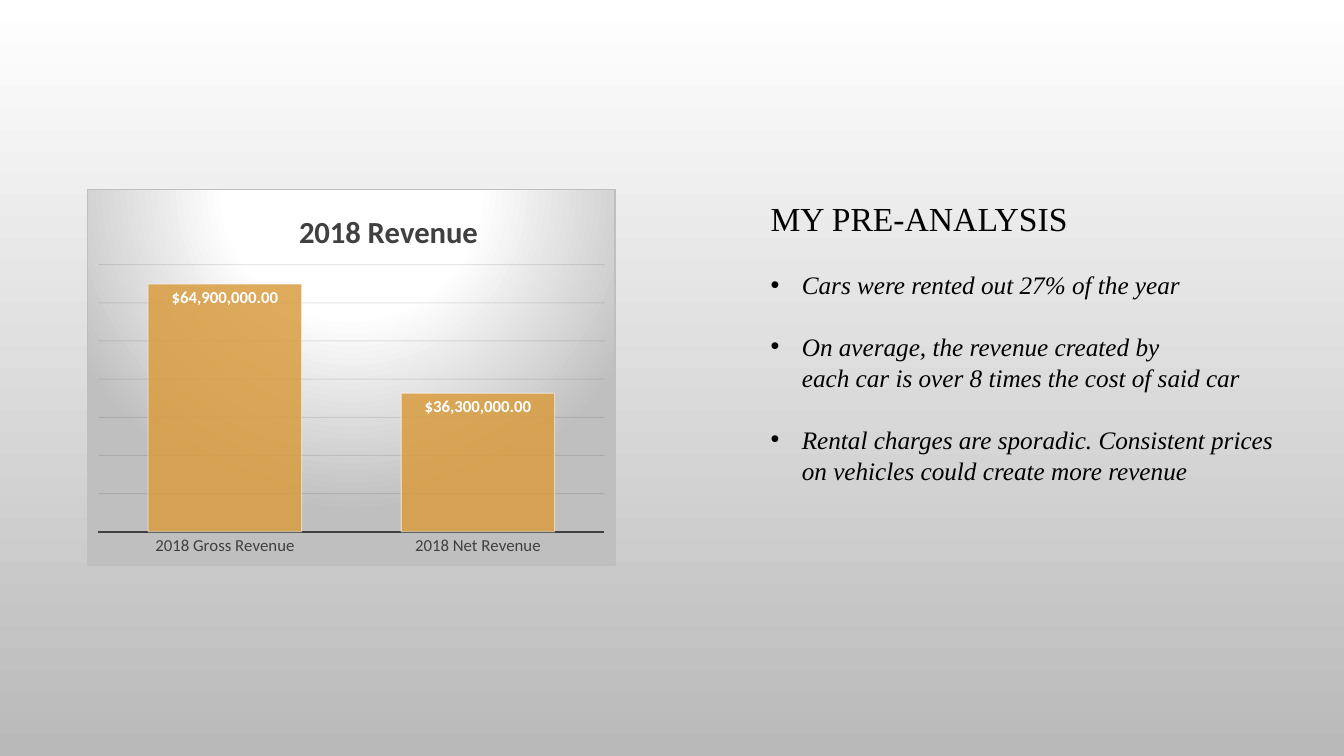
from dataclasses import dataclass

from lxml import etree
from pptx import Presentation
from pptx.chart.data import CategoryChartData
from pptx.dml.color import RGBColor as RGB
from pptx.enum.chart import XL_CHART_TYPE as ChartType
from pptx.enum.chart import XL_LABEL_POSITION as LabelPosition
from pptx.enum.chart import XL_TICK_MARK as TickMark
from pptx.oxml import parse_xml
from pptx.oxml.ns import nsdecls, qn
from pptx.util import Inches, Pt

WIDTH, HEIGHT = Inches(13.33), Inches(7.5)


@dataclass(frozen=True)
class Theme:
    chart_font: str = "Calibri"
    text_font: str = "Times New Roman"
    black: str = "000000"
    white: str = "FFFFFF"
    dusk: str = "B9B9B9"
    silver: str = "BFBFBF"
    charcoal: str = "404040"
    grid: str = "0D0D0D"
    bar: str = "D99C3F"
    heading_size: int = 24
    chart_title_size: int = 22
    bullet_size: int = 18
    label_size: int = 12
    currency: str = '"$"#,##0.00'


THEME = Theme()

HEADING = "MY PRE-ANALYSIS"
FINDINGS = (
    "Cars were rented out 27% of the year",
    "On average, the revenue created by\veach car is over 8 times the cost of said car",
    "Rental charges are sporadic. Consistent prices\von vehicles could create more revenue",
)
REVENUE = {"2018 Gross Revenue": 64_900_000, "2018 Net Revenue": 36_300_000}


def place(left, top, width, height):
    """Turn shares of the slide into lengths."""
    return (int(WIDTH * left), int(HEIGHT * top), int(WIDTH * width), int(HEIGHT * height))


def style_font(font, name, size, color, bold=False, italic=False):
    font.name, font.size = name, Pt(size)
    font.color.rgb = RGB.from_string(color)
    font.bold, font.italic = bold, italic


def style_line(line, color, width, opacity=100):
    line.width = Pt(width)
    line.fill.solid()
    line.fill.fore_color.rgb = RGB.from_string(color)
    set_opacity(line.fill, opacity, line.format_element if hasattr(line, "format_element") else None)


def set_opacity(fill, percent, holder=None):
    """Add an alpha value to a solid fill."""
    if percent < 100:
        color = fill._xPr.find(qn("a:solidFill"))[0]
        etree.SubElement(color, qn("a:alpha")).set("val", str(percent * 1000))


def set_layout(parent, index, **shares):
    """Fix the place of a chart part, in shares of the chart."""
    for old in parent.findall(qn("c:layout")):
        parent.remove(old)
    inner = '<c:layoutTarget val="inner"/>' if "w" in shares else ""
    modes = "".join(f'<c:{key}Mode val="edge"/>' for key in "xy")
    values = "".join(f'<c:{key} val="{value}"/>' for key, value in shares.items())
    parent.insert(index, parse_xml(
        f'<c:layout {nsdecls("c")}><c:manualLayout>{inner}{modes}{values}'
        "</c:manualLayout></c:layout>"))


def add_background(slide):
    fill = slide.background.fill
    fill.gradient()
    fill.gradient_angle = 270
    for stop, position, color in zip(fill.gradient_stops, (0, 1), (THEME.white, THEME.dusk)):
        stop.position = position
        stop.color.rgb = RGB.from_string(color)


def add_chart_backdrop(chart):
    """Give the chart area a round spotlight and a thin border."""
    stops = "".join(
        f'<a:gs pos="{share * 1000}"><a:srgbClr val="{color}"/></a:gs>'
        for share, color in ((0, THEME.white), (39, THEME.white), (100, THEME.silver)))
    backdrop = parse_xml(
        f'<c:spPr {nsdecls("c", "a")}><a:gradFill><a:gsLst>{stops}</a:gsLst>'
        '<a:path path="circle"><a:fillToRect l="50000" t="-80000" r="50000" b="180000"/>'
        f'</a:path></a:gradFill><a:ln w="{Pt(0.75)}"><a:solidFill>'
        f'<a:srgbClr val="{THEME.silver}"/></a:solidFill></a:ln></c:spPr>')
    chart.element.find(qn("c:chart")).addnext(backdrop)


def style_axes(chart):
    category_axis, value_axis = chart.category_axis, chart.value_axis
    category_axis.major_tick_mark = TickMark.NONE
    style_font(category_axis.tick_labels.font, THEME.chart_font, THEME.label_size, THEME.charcoal)
    style_line(category_axis.format.line, THEME.charcoal, 1.5)
    value_axis.visible = False
    value_axis.minimum_scale, value_axis.maximum_scale = 0, 70_000_000
    value_axis.major_unit = 10_000_000
    value_axis.tick_labels.number_format = THEME.currency
    value_axis.tick_labels.number_format_is_linked = False
    style_line(value_axis.major_gridlines.format.line, THEME.grid, 0.75, 10)


def style_bars(plot):
    plot.gap_width = 65
    plot.vary_by_categories = False
    bars = plot.series[0]
    bars.format.fill.solid()
    bars.format.fill.fore_color.rgb = RGB.from_string(THEME.bar)
    set_opacity(bars.format.fill, 85)
    style_line(bars.format.line, THEME.white, 0.75, 50)
    labels = bars.data_labels
    labels.show_value = True
    labels.position = LabelPosition.INSIDE_END
    labels.number_format, labels.number_format_is_linked = THEME.currency, False
    style_font(labels.font, THEME.chart_font, THEME.label_size, THEME.white, bold=True)


def add_revenue_chart(slide, title, values, box):
    data = CategoryChartData(number_format=THEME.currency)
    data.categories = list(values)
    data.add_series(title, list(values.values()))
    chart = slide.shapes.add_chart(ChartType.COLUMN_CLUSTERED, *box, data).chart
    style_font(chart.font, THEME.chart_font, 10, THEME.black)
    chart.has_legend = False
    chart.has_title = True
    heading = chart.chart_title.text_frame.paragraphs[0]
    heading.text = title
    style_font(heading.font, THEME.chart_font, THEME.chart_title_size, THEME.charcoal, bold=True)
    style_axes(chart)
    style_bars(chart.plots[0])
    add_chart_backdrop(chart)
    # Title and plot positions
    chart_body = chart.element.find(qn("c:chart"))
    set_layout(chart_body.find(qn("c:title")), 1, x=0.39, y=0.04)
    set_layout(chart_body.find(qn("c:plotArea")), 0, x=0.02, y=0.2, w=0.96, h=0.71)


def add_bullet(paragraph, indent):
    properties = paragraph._p.get_or_add_pPr()
    properties.set("marL", str(indent))
    properties.set("indent", str(-indent))
    etree.SubElement(properties, qn("a:buFont")).set("typeface", "Arial")
    etree.SubElement(properties, qn("a:buChar")).set("char", "•")


def add_findings(slide, heading, findings, box):
    frame = slide.shapes.add_textbox(*box).text_frame
    frame.word_wrap = True
    title = frame.paragraphs[0]
    title.text = heading
    title.line_spacing = 1.04
    style_font(title.font, THEME.text_font, THEME.heading_size, THEME.black)
    for finding in findings:
        paragraph = frame.add_paragraph()
        paragraph.text = finding
        paragraph.line_spacing = 1.04
        paragraph.space_before = Pt(21.5)
        add_bullet(paragraph, Inches(0.31))
        style_font(paragraph.font, THEME.text_font, THEME.bullet_size, THEME.black, italic=True)


def main():
    presentation = Presentation()
    presentation.slide_width, presentation.slide_height = WIDTH, HEIGHT
    slide = presentation.slides.add_slide(presentation.slide_layouts[6])
    add_background(slide)
    add_revenue_chart(slide, "2018 Revenue", REVENUE, place(0.065, 0.25, 0.393, 0.499))
    add_findings(slide, HEADING, FINDINGS, place(0.566, 0.253, 0.393, 0.471))
    presentation.save("out.pptx")


if __name__ == "__main__":
    main()
